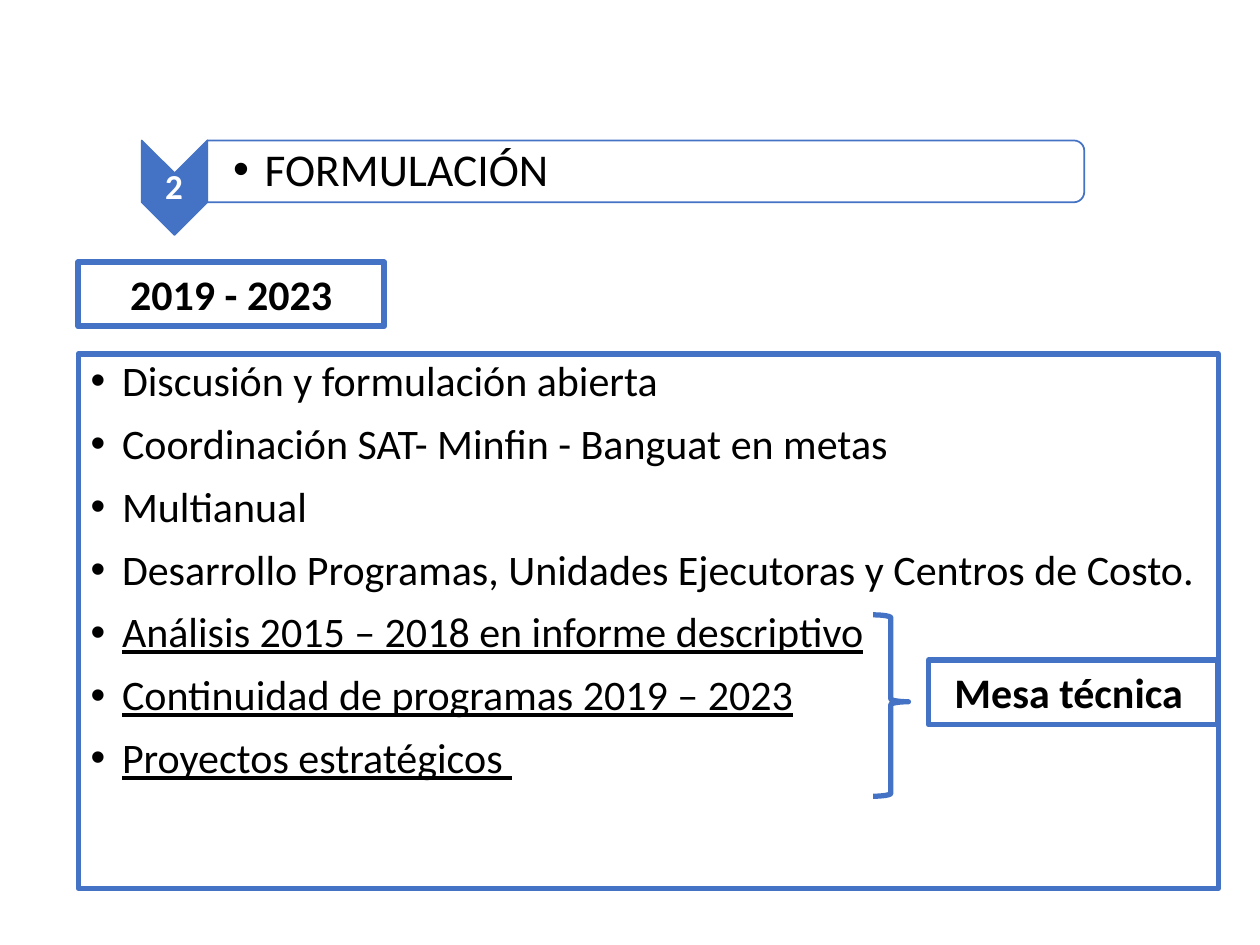
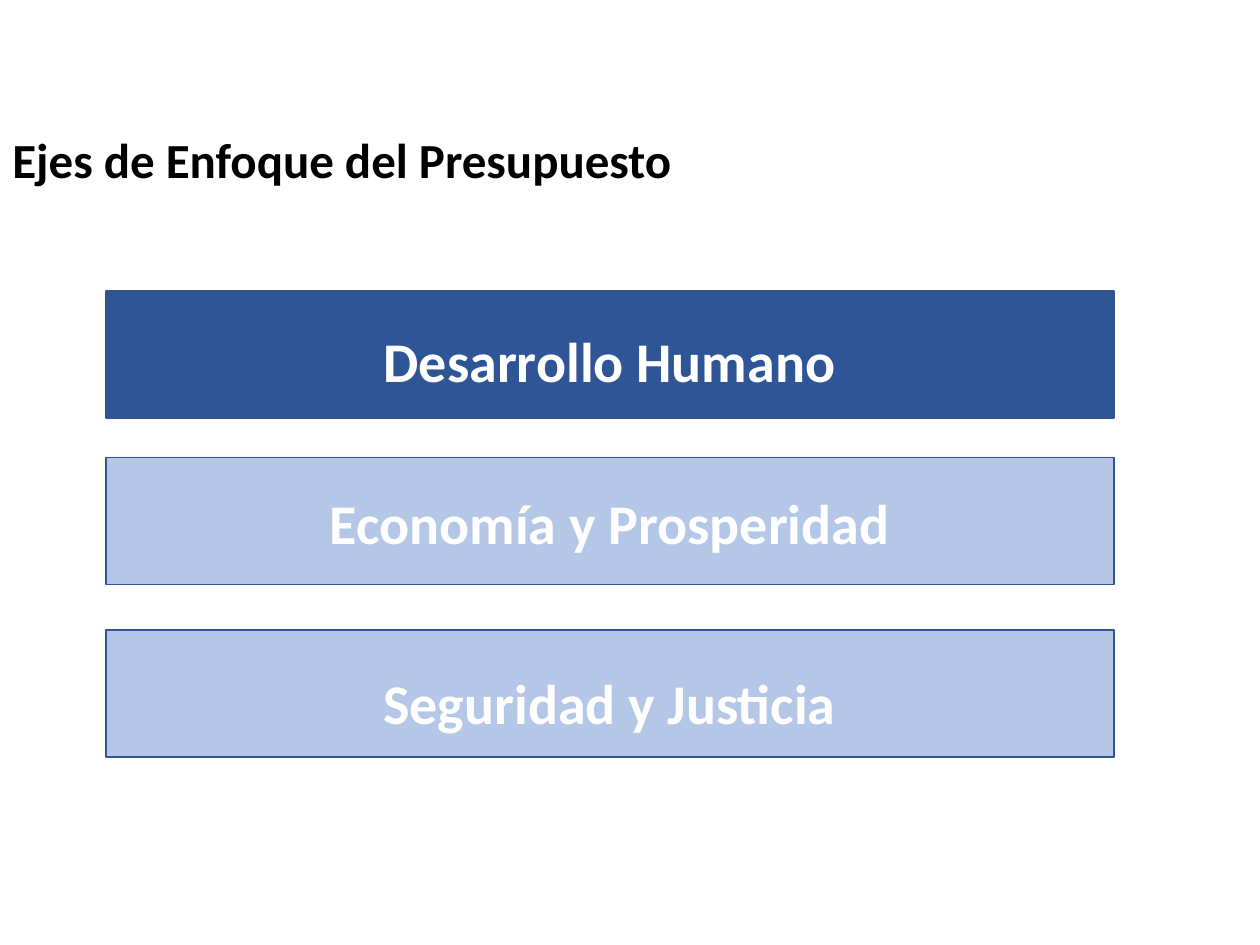
from dataclasses import dataclass

from lxml import etree
from pptx import Presentation
from pptx import util as u
from pptx.dml.color import RGBColor
from pptx.enum import shapes, text
from pptx.oxml.ns import qn

PX = 9144
GEO = shapes.MSO_SHAPE
MID = text.PP_ALIGN.CENTER
GROW = text.MSO_AUTO_SIZE.SHAPE_TO_FIT_TEXT


@dataclass(frozen=True)
class Theme:
    font: str = "Calibri"
    ink: str = "000000"
    white: str = "FFFFFF"
    blue: str = "4472C4"
    dark: str = "2F5597"
    pale: str = "B4C7E7"
    edge: str = "325491"
    step: int = 20
    body: int = 24
    head: int = 26
    title: int = 28
    axis: int = 32


T = Theme()


def px(*nums):
    return [u.Emu(n * PX) for n in nums]


def assign(obj, vals):
    for key, val in vals.items():
        setattr(obj, key, val)


def paint(fill, tint):
    if tint is None:
        fill.background()
    else:
        fill.solid()
        fill.fore_color.rgb = RGBColor.from_string(tint)


def shape(slide, kind, box, fill=None, line=None, width=1, turn=0, adj=()):
    item = slide.shapes.add_shape(kind, *px(*box))
    item.shadow.inherit = False
    item.rotation = turn
    paint(item.fill, fill)
    paint(item.line.fill, line)
    if line:
        item.line.width = u.Pt(width)
    for i, val in enumerate(adj):
        item.adjustments[i] = val
    return item


def label(slide, box):
    return slide.shapes.add_textbox(*px(*box))


def fade(item, share):
    tint = item.fill._xPr.find(qn("a:solidFill"))[0]
    etree.SubElement(tint, qn("a:alpha")).set("val", str(share * 1000))


def frame(item, pad=None, anchor=text.MSO_ANCHOR.TOP, fit=None):
    body = item.text_frame
    assign(body, {"word_wrap": True, "vertical_anchor": anchor})
    if fit is not None:
        body.auto_size = fit
    if pad:
        sides = ("margin_left", "margin_top", "margin_right", "margin_bottom")
        assign(body, dict(zip(sides, px(*pad))))
    return body


def write(para, words, size, tint=T.ink, align=text.PP_ALIGN.LEFT, **form):
    para.alignment = align
    run = para.add_run()
    run.text = words
    assign(run.font, {"name": T.font, "size": u.Pt(size), **form})
    run.font.color.rgb = RGBColor.from_string(tint)


def bullet(para):
    para.line_spacing = 0.9
    props = para._p.get_or_add_pPr()
    indent = 25 * PX
    props.set("marL", str(indent))
    props.set("indent", str(-indent))
    etree.SubElement(props, qn("a:buFont")).set("typeface", "Arial")
    etree.SubElement(props, qn("a:buChar")).set("char", "•")


def single(item, words, size, tint=T.ink, align=MID):
    body = frame(item, fit=GROW)
    write(body.paragraphs[0], words, size, tint, align, bold=True)


def tag(slide, box, words):
    item = shape(slide, GEO.RECTANGLE, box, line=T.blue, width=3.25)
    single(item, words, T.body)


def points(slide, box, rows):
    item = shape(slide, GEO.RECTANGLE, box, T.white, T.blue, 3)
    body = frame(item)
    for i, (words, under) in enumerate(rows):
        para = body.add_paragraph() if i else body.paragraphs[0]
        write(para, words, T.body, underline=under)
        para.space_before = u.Pt(10)
        bullet(para)


def header(slide, num, words):
    shape(slide, GEO.CHEVRON, (101, 123, 75, 52), T.blue, T.blue, turn=90)
    body = frame(label(slide, (112, 138, 52, 22)), (1, 1, 1, 1), text.MSO_ANCHOR.MIDDLE)
    para = body.paragraphs[0]
    write(para, num, T.step, T.white, MID, bold=True)
    para.line_spacing = 0.9
    band = shape(slide, GEO.ROUND_2_SAME_RECTANGLE, (488, -212, 49, 696),
                 T.white, T.blue, turn=90)
    fade(band, 90)
    body = frame(label(slide, (165, 114, 693, 44)), (20, 2, 2, 2), text.MSO_ANCHOR.MIDDLE)
    write(body.paragraphs[0], words, T.head)
    bullet(body.paragraphs[0])


def axis(slide, top, drop, words, fill):
    shape(slide, GEO.RECTANGLE, (84, top, 800, 101), fill, T.edge)
    single(label(slide, (84, top + drop, 800, 64)), words, T.axis, T.white)


def plan(slide):
    points(slide, (62, 281, 905, 424), [
        ("Discusión y formulación abierta", False),
        ("Coordinación SAT- Minfin - Banguat en metas", False),
        ("Multianual", False),
        ("Desarrollo Programas, Unidades Ejecutoras y Centros de Costo.", False),
        ("Análisis 2015 – 2018 en informe descriptivo", True),
        ("Continuidad de programas 2019 – 2023", True),
        ("Proyectos estratégicos ", True),
    ])
    header(slide, "2", "FORMULACIÓN")
    tag(slide, (62, 208, 243, 51), "2019 - 2023")
    shape(slide, GEO.RIGHT_BRACE, (693, 488, 28, 144), line=T.blue, width=3,
          adj=(0.083, 0.479))
    tag(slide, (737, 524, 230, 51), "Mesa técnica ")


def focus(slide):
    title = shape(slide, GEO.RECTANGLE, (0, 98, 1000, 57), T.white)
    single(title, "Ejes de Enfoque del Presupuesto", T.title, align=text.PP_ALIGN.LEFT)
    for row in (
        (231, 23, "Desarrollo Humano", T.dark),
        (363, 20, "Economía y Prosperidad", T.pale),
        (500, 26, "Seguridad y Justicia", T.pale),
    ):
        axis(slide, *row)


def main():
    deck = Presentation()
    assign(deck, dict(zip(("slide_width", "slide_height"), px(1000, 750))))
    for build in (plan, focus):
        build(deck.slides.add_slide(deck.slide_layouts[6]))
    deck.save("out.pptx")


if __name__ == "__main__":
    main()
